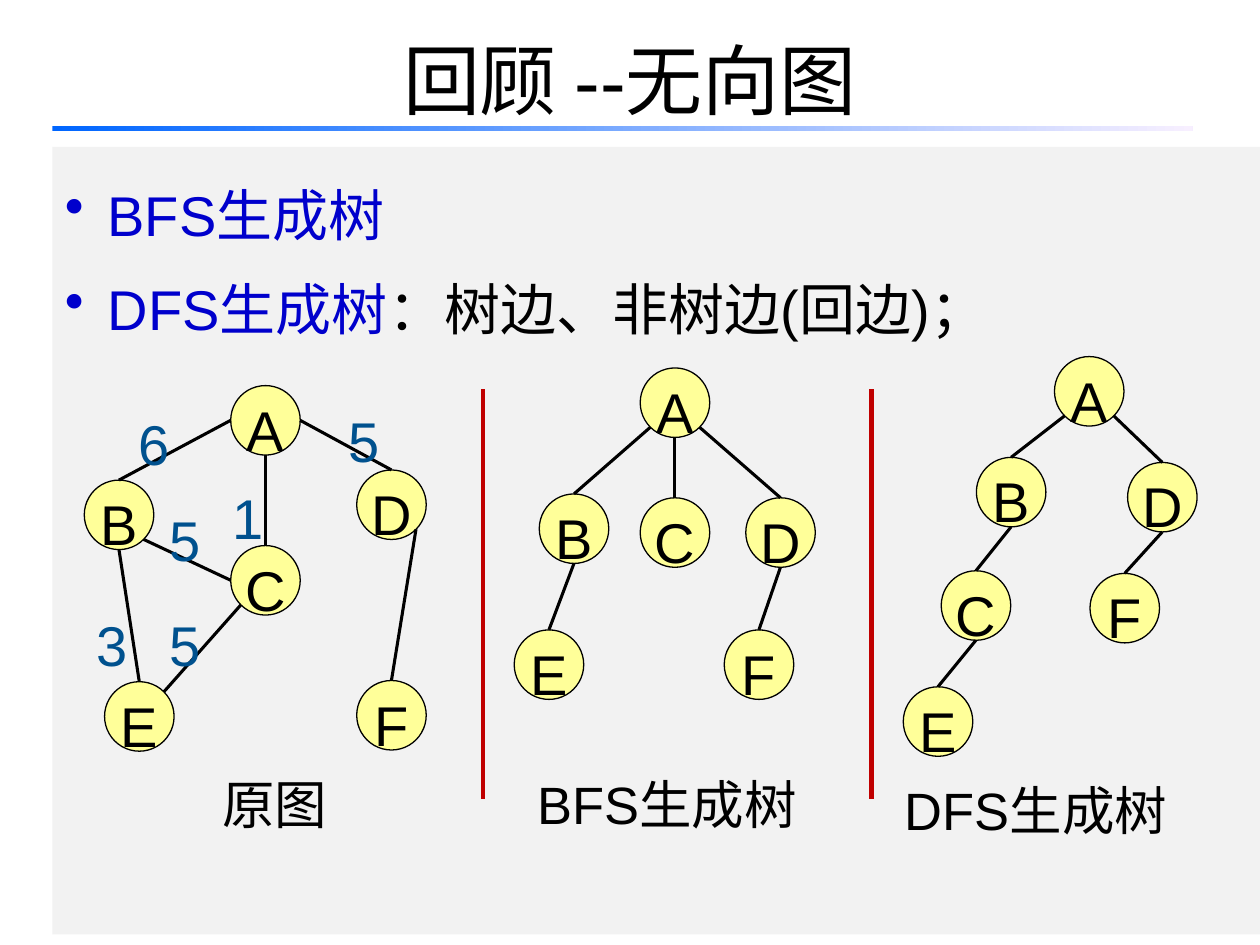
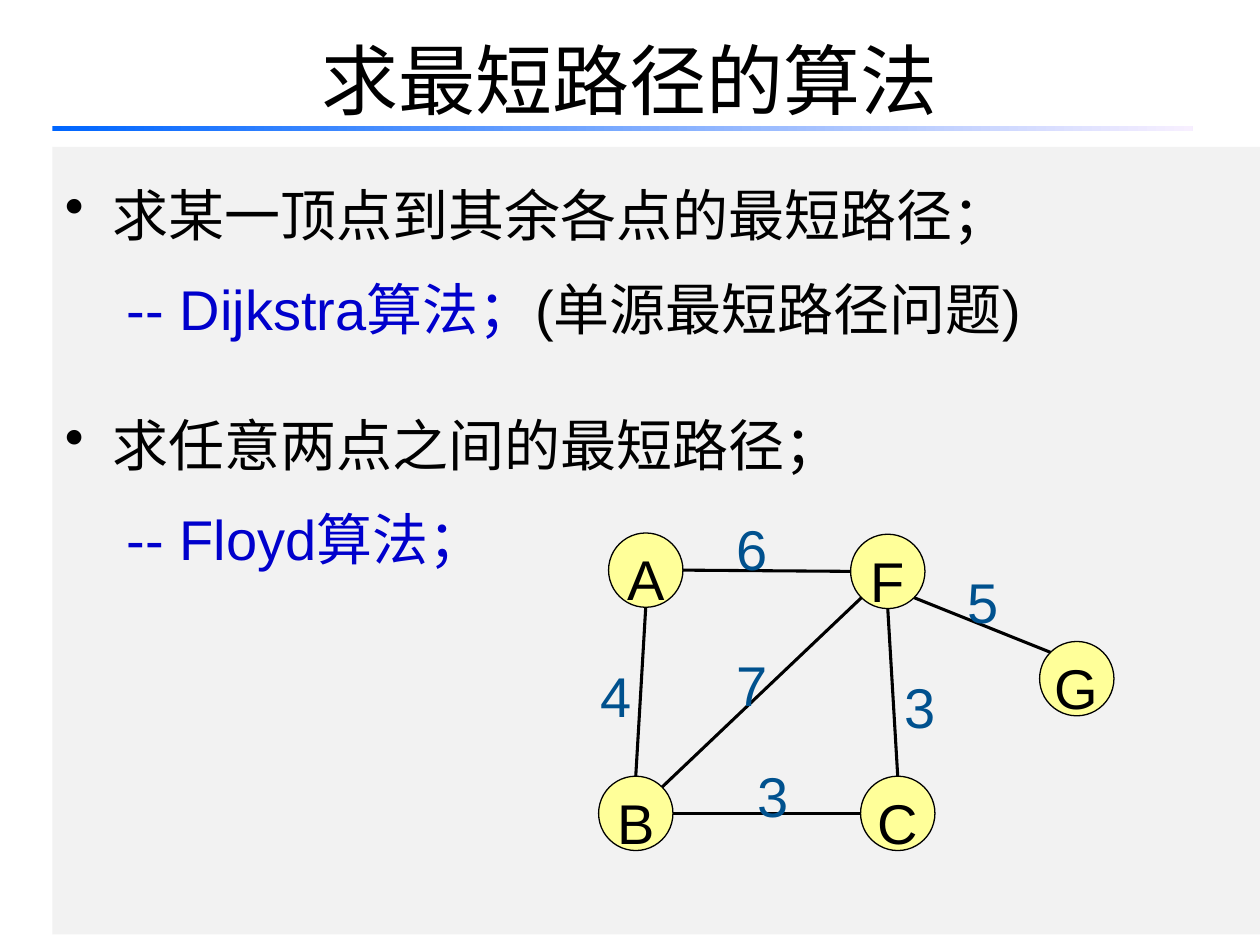
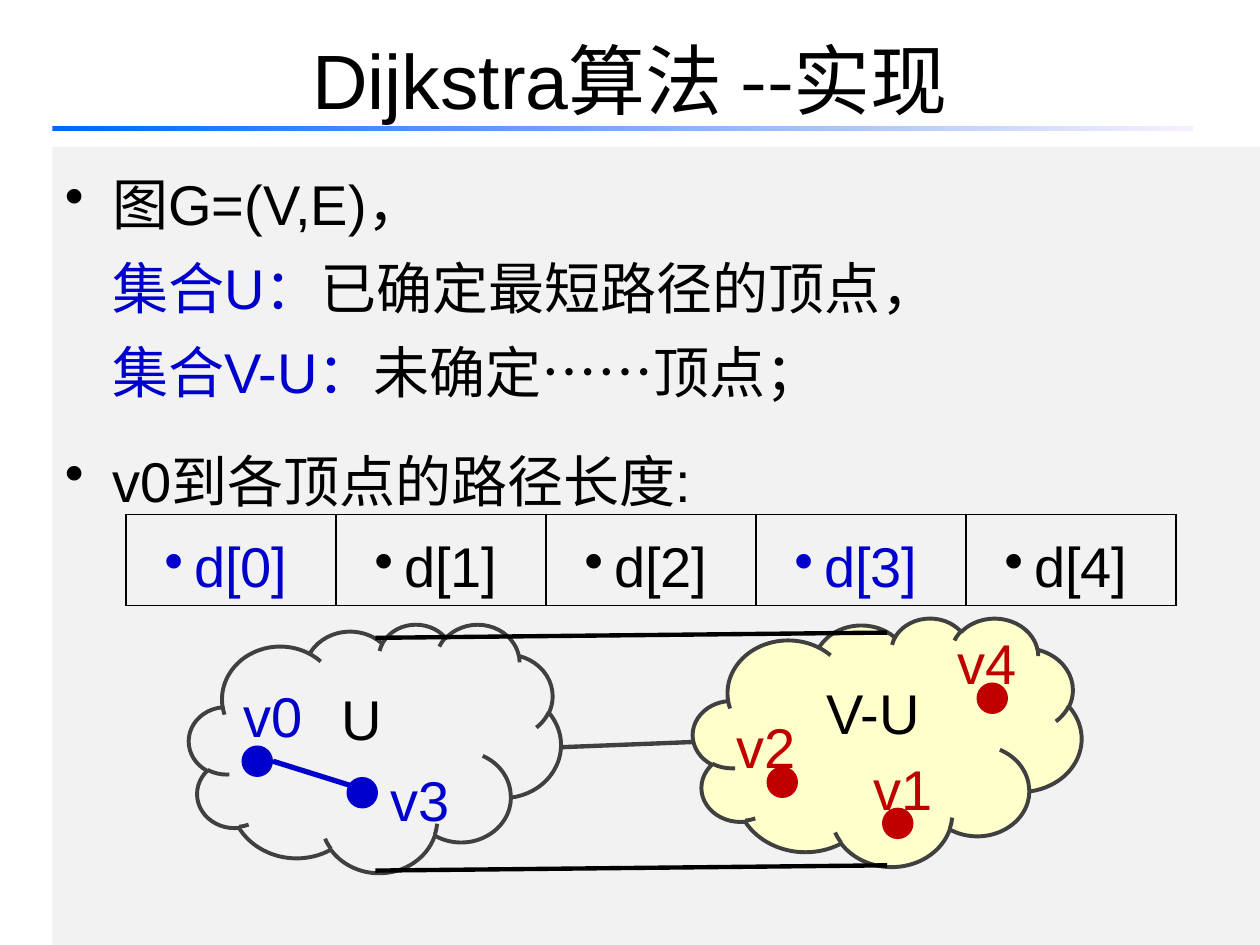
from dataclasses import dataclass
from math import sqrt

from lxml import etree
from pptx import Presentation
from pptx.dml.color import RGBColor
from pptx.enum.shapes import MSO_CONNECTOR, MSO_SHAPE
from pptx.enum.text import MSO_ANCHOR, PP_ALIGN
from pptx.oxml.ns import qn
from pptx.util import Pt

LINE = MSO_CONNECTOR.STRAIGHT
RECT, OVAL, CLOUD = MSO_SHAPE.RECTANGLE, MSO_SHAPE.OVAL, MSO_SHAPE.CLOUD
LEFT, CENTER = PP_ALIGN.LEFT, PP_ALIGN.CENTER
TOP, MIDDLE = MSO_ANCHOR.TOP, MSO_ANCHOR.MIDDLE


@dataclass(frozen=True)
class Theme:
    font: str = "Arial"
    cjk: str = "Noto Sans CJK SC"
    title: int = 44
    body: int = 32
    label: int = 30
    ink: str = "000000"
    blue: str = "0000CC"
    red: str = "C00000"
    weight: str = "00518E"
    node: str = "FFFF99"
    cloud: str = "FFFFCC"
    edge: str = "404040"
    panel: str = "F2F2F2"
    start: str = "0066FF"
    end: str = "F7EFFF"


T = Theme()
DIAG = 1 / sqrt(2)
SITES = {
    "n": (0, -1), "s": (0, 1), "w": (-1, 0), "e": (1, 0),
    "nw": (-DIAG, -DIAG), "ne": (DIAG, -DIAG),
    "sw": (-DIAG, DIAG), "se": (DIAG, DIAG),
}


def rgb(color):
    return RGBColor.from_string(color)


def add_run(par, text, color=T.ink, size=T.body, font=T.font):
    run = par.add_run()
    run.text = text
    run.font.size = Pt(size)
    run.font.color.rgb = rgb(color)
    run.font.name = font
    east = etree.SubElement(run.font._element, qn("a:ea"))
    east.set("typeface", T.cjk)


def space(par, line, percent):
    """Set line spacing, and space before as a percentage of the line."""
    par.line_spacing = line
    if percent:
        par.space_before = Pt(0)
        before = par._p.pPr.find(qn("a:spcBef"))
        before.clear()
        etree.SubElement(before, qn("a:spcPct")).set("val", str(percent * 1000))


def add_bullet(par):
    etree.SubElement(par._p.get_or_add_pPr(), qn("a:buChar")).set("char", "•")


def put_text(frame, text, color=T.ink, size=T.body, line=1.25, percent=30,
             align=CENTER):
    par = frame.paragraphs[0]
    par.alignment = align
    space(par, line, percent)
    add_run(par, text, color, size)
    return par


def add_shape(slide, kind, box, fill=None, line=None, width=0.75):
    shape = slide.shapes.add_shape(kind, *map(Pt, box))
    shape.shadow.inherit = False
    if fill:
        shape.fill.solid()
        shape.fill.fore_color.rgb = rgb(fill)
    else:
        shape.fill.background()
    if line:
        shape.line.color.rgb = rgb(line)
        shape.line.width = Pt(width)
    else:
        shape.line.fill.background()
    return shape


def add_line(slide, start, end, color=T.ink, width=1.75):
    line = slide.shapes.add_connector(LINE, *map(Pt, (*start, *end)))
    line.line.color.rgb = rgb(color)
    line.line.width = Pt(width)
    etree.SubElement(line._element.spPr, qn("a:effectLst"))


def add_label(slide, text, box, **style):
    frame = slide.shapes.add_textbox(*map(Pt, box)).text_frame
    frame.word_wrap = True
    put_text(frame, text, align=LEFT, **style)


def add_weights(slide, weights):
    for text, left, top in weights:
        add_label(slide, text, (left, top, 54, 51), color=T.weight, percent=50)


def add_graph(slide, nodes, edges, size):
    """Draw nodes by centre, and edges such as "A w B n" by compass site."""
    half = size / 2
    for name, (x, y) in nodes.items():
        node = add_shape(slide, OVAL, (x - half, y - half, size, size),
                         T.node, T.ink)
        node.text_frame.word_wrap = False
        node.text_frame.vertical_anchor = MIDDLE
        put_text(node.text_frame, name)

    def site(name, side):
        return [c + half * d for c, d in zip(nodes[name], SITES[side])]

    for edge in edges:
        first, out, last, into = edge.split()
        add_line(slide, site(first, out), site(last, into))


def add_slide(deck, title, height=450):
    """Add a slide with its title runs, rule and grey panel; return both."""
    slide = deck.slides.add_slide(deck.slide_layouts[5])
    head = slide.shapes.title
    head.left, head.top, head.width, head.height = map(Pt, (36, 0, 648, 90))
    head.text_frame.vertical_anchor = MIDDLE
    par = head.text_frame.paragraphs[0]
    par.alignment = CENTER
    for text, font in title:
        add_run(par, text, size=T.title, font=font)

    rule = add_shape(slide, RECT, (30, 72, 651.6, 3))
    rule.fill.gradient()
    rule.fill.gradient_angle = 0
    for stop, color in zip(rule.fill.gradient_stops, (T.start, T.end)):
        stop.color.rgb = rgb(color)

    panel = add_shape(slide, RECT, (30, 84, 690, height), T.panel)
    panel.text_frame.vertical_anchor = TOP
    return slide, panel.text_frame


def add_points(frame, points, line, left, inner):
    """Fill the panel; each point is (bulleted, space before, runs)."""
    for i, (bulleted, before, runs) in enumerate(points):
        par = frame.add_paragraph() if i else frame.paragraphs[0]
        par.alignment = LEFT
        par.line_spacing = line
        par.space_before = Pt(before)
        props = par._p.get_or_add_pPr()
        props.set("marL", str(Pt(left if bulleted else inner)))
        props.set("indent", str(Pt(-left if bulleted else 0)))
        if bulleted:
            add_bullet(par)
        for text, color in runs:
            add_run(par, text, color)


def add_row(slide, cells):
    """Draw a one-row table of bulleted (text, colour) cells."""
    shape = slide.shapes.add_table(1, len(cells), *map(Pt, (72, 294, 600, 28)))
    table = shape.table
    table.first_row = table.horz_banding = False
    for cell, (text, color) in zip(table.rows[0].cells, cells):
        add_bullet(put_text(cell.text_frame, text, color))
        props = cell._tc.get_or_add_tcPr()
        for side in ("lnL", "lnR", "lnT", "lnB"):
            border = etree.SubElement(props, qn("a:" + side))
            border.set("w", str(Pt(1)))
            fill = etree.SubElement(border, qn("a:solidFill"))
            etree.SubElement(fill, qn("a:srgbClr")).set("val", T.ink)
        cell.fill.background()


def add_cloud(slide, text, box, fill=None):
    cloud = add_shape(slide, CLOUD, box, fill, T.edge, 2.25)
    cloud.text_frame.vertical_anchor = TOP
    put_text(cloud.text_frame, text)


def add_vertex(slide, name, dot, label, color):
    add_shape(slide, OVAL, (*dot, 18, 18), color)
    add_label(slide, name, (*label, 54, 48), color=color, line=1.2, percent=0)


def trees(deck):
    slide, body = add_slide(deck, [("回顾 --无向图", T.font)])
    add_points(body, [
        (True, 0, [("BFS生成树", T.blue)]),
        (True, 0, [("DFS生成树", T.blue), ("：树边、非树边(回边)；", T.ink)]),
    ], 1.4, 24.5, 0)
    size = 39.7
    add_graph(slide, {
        "A": (151.7, 240.2), "B": (68, 294.2), "C": (151.7, 331.6),
        "D": (223.7, 288.4), "E": (79.6, 409.4), "F": (223.7, 408.7),
    }, ["A w B n", "A s C n", "A e D n", "B se C w", "B s E n",
        "C sw E ne", "D se F n"], size)
    add_weights(slide, [("6", 72, 221), ("5", 192, 219), ("5", 90, 276),
                        ("1", 126, 263), ("3", 48, 336), ("5", 90, 336)])
    add_graph(slide, {
        "A": (385.7, 230.1), "B": (328, 302.1), "C": (385.7, 304.3),
        "D": (446, 304.3), "E": (313.7, 379.8), "F": (433.7, 379.8),
    }, ["A sw B n", "A s C n", "A se D n", "B s E n", "D s F n"], size)
    add_graph(slide, {
        "A": (622.4, 223.6), "B": (577.8, 281.2), "C": (557.7, 346),
        "D": (664.2, 284.1), "E": (536, 412.3), "F": (642.7, 347.5),
    }, ["A sw B n", "A se D n", "B s C n", "C s E n", "D s F n"], size)
    for x in (276, 498):
        add_line(slide, (x, 222.5), (x, 456.5), T.red, 2.5)
    for text, left, top, width in [("原图", 120, 428.5, 96),
                                   ("BFS生成树", 300, 428.5, 174),
                                   ("DFS生成树", 510, 432, 210)]:
        add_label(slide, text, (left, top, width, 48), size=T.label, percent=50)


def paths(deck):
    slide, body = add_slide(deck, [("求最短路径的算法", T.cjk)])
    add_points(body, [
        (True, 0, [("求某一顶点到其余各点的最短路径；", T.ink)]),
        (False, 0, [("-- Dijkstra算法；", T.blue),
                    ("(单源最短路径问题)", T.ink)]),
        (True, 24, [("求任意两点之间的最短路径；", T.ink)]),
        (False, 0, [("-- Floyd算法；", T.blue)]),
    ], 1.4, 27, 35.5)
    add_graph(slide, {
        "A": (369, 325.8), "F": (507.3, 326.5), "B": (363.3, 464.8),
        "C": (513, 464.8), "G": (615.3, 387.8),
    }, ["F w A e", "F s C n", "A s B n", "C w B e", "F sw B ne",
        "F se G nw"], 42.5)
    add_weights(slide, [("4", 336, 365), ("6", 414, 281), ("5", 546, 311),
                        ("7", 414, 358.5), ("3", 426, 422), ("3", 510, 371)])


def dijkstra(deck):
    slide, body = add_slide(
        deck, [("Dijkstra", T.font), ("算法 --实现", T.cjk)], 456)
    add_points(body, [
        (True, 0, [("图G=(V,E)，", T.ink)]),
        (False, 0, [("集合U：", T.blue), ("已确定最短路径的顶点，", T.ink)]),
        (False, 0, [("集合V-U：", T.blue), ("未确定……顶点；", T.ink)]),
        (True, 12, [("v0到各顶点的路径长度:", T.ink)]),
    ], 1.25, 27, 27)
    body.paragraphs[-1].line_spacing = 1.3
    add_row(slide, [(f"d[{i}]", T.blue if i in (0, 3) else T.ink)
                    for i in range(5)])
    add_cloud(slide, "U", (108, 356.5, 212.5, 142))
    add_cloud(slide, "V-U", (396, 353, 222, 142), T.cloud)
    add_line(slide, (214.5, 364.5), (507, 361.5), width=2.5)
    add_line(slide, (320.5, 427), (396.5, 424), T.edge, 2.5)
    add_line(slide, (214.5, 497.5), (507, 494.5), width=2.5)
    add_line(slide, (156, 435), (204, 450), T.blue, 3)
    for name, dot, label, color in [
        ("v0", (138, 426), (132, 378), T.blue),
        ("v3", (198, 444), (216, 426), T.blue),
        ("v2", (438, 438), (414, 396), T.red),
        ("v1", (504, 461.5), (492, 420), T.red),
        ("v4", (558, 390), (540, 348), T.red),
    ]:
        add_vertex(slide, name, dot, label, color)


def main():
    deck = Presentation()
    deck.slide_width, deck.slide_height = Pt(720), Pt(540)
    for build in (trees, paths, dijkstra):
        build(deck)
    deck.save("out.pptx")


if __name__ == "__main__":
    main()
